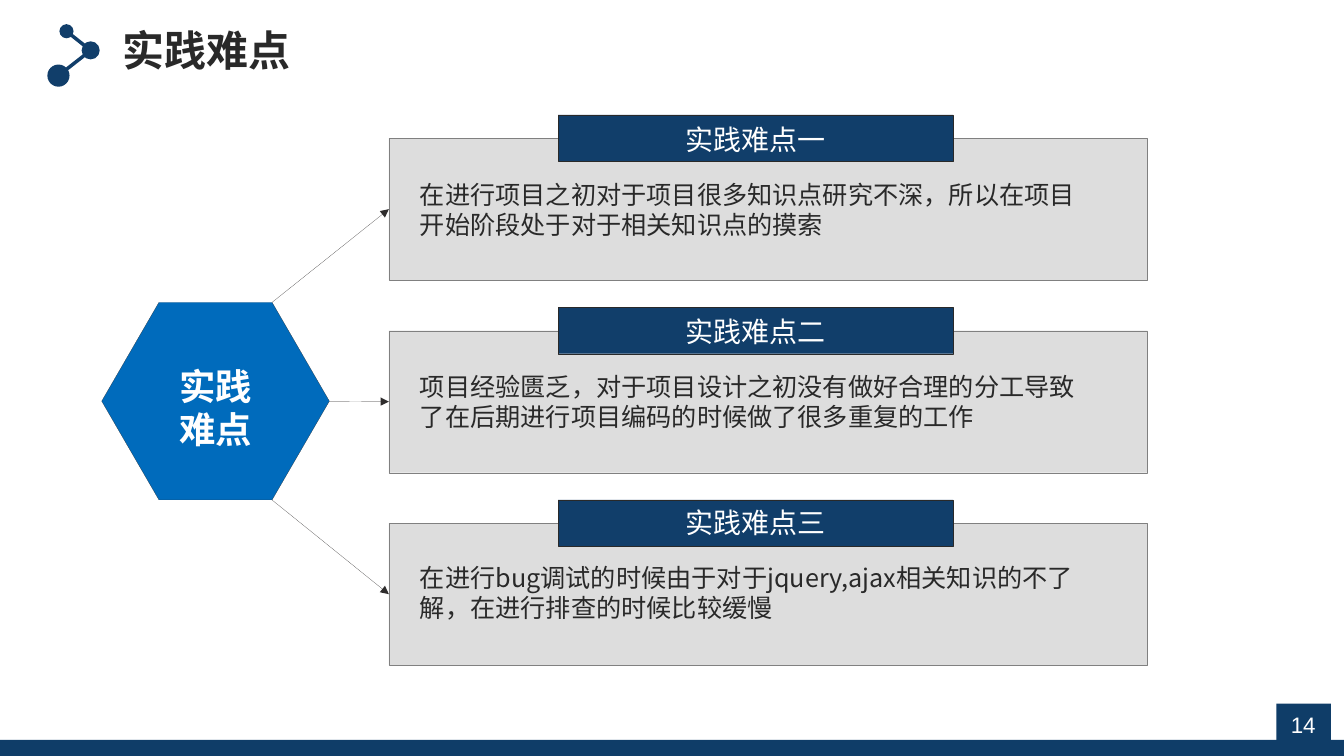
from dataclasses import dataclass

from lxml.etree import SubElement
from pptx import Presentation
from pptx.dml.color import RGBColor
from pptx.enum.shapes import MSO_CONNECTOR, MSO_SHAPE
from pptx.enum.text import MSO_AUTO_SIZE, PP_ALIGN
from pptx.oxml.ns import qn
from pptx.shapes.autoshape import Shape
from pptx.shapes.connector import Connector
from pptx.slide import Slide
from pptx.util import Inches, Pt


@dataclass(frozen=True)
class Theme:
    footer: str = "0F3D68"
    navy: str = "113E6A"
    blue: str = "006BBC"
    panel: str = "DDDDDD"
    panel_edge: str = "808080"
    ink: str = "292929"
    arrow: str = "2E2C2C"
    white: str = "FFFFFF"
    cjk: str = "Noto Sans CJK SC"
    latin: str = "Arial"
    title_size: int = 30
    hub_size: int = 26
    label_size: int = 20
    body_size: int = 18
    page_size: int = 16
    hairline: float = 0.1
    icon_line: float = 2.5


@dataclass(frozen=True)
class Box:
    left: float
    top: float
    width: float
    height: float

    def lengths(self) -> tuple[int, int, int, int]:
        return Inches(self.left), Inches(self.top), Inches(self.width), Inches(self.height)


@dataclass(frozen=True)
class TextStyle:
    size: int
    color: str
    font: str
    bold: bool = False
    align: PP_ALIGN = PP_ALIGN.LEFT


@dataclass(frozen=True)
class Difficulty:
    label: str
    body: str
    arrow_start: tuple[float, float]


@dataclass(frozen=True)
class Node:
    x: float
    y: float
    radius: float


THEME = Theme()
TITLE = TextStyle(THEME.title_size, THEME.ink, THEME.cjk, bold=True)
HUB = TextStyle(THEME.hub_size, THEME.white, THEME.cjk, True, PP_ALIGN.CENTER)
LABEL = TextStyle(THEME.label_size, THEME.white, THEME.cjk, align=PP_ALIGN.CENTER)
BODY = TextStyle(THEME.body_size, THEME.ink, THEME.cjk)
PAGE = TextStyle(THEME.page_size, THEME.white, THEME.latin, align=PP_ALIGN.CENTER)

PANEL_PITCH = 1.91
TEXT_PITCH = 1.9
DIFFICULTIES = [
    Difficulty("实践难点一",
               "在进行项目之初对于项目很多知识点研究不深，所以在项目开始阶段处于对于相关知识点的摸索",
               (2.7, 3)),
    Difficulty("实践难点二",
               "项目经验匮乏，对于项目设计之初没有做好合理的分工导致了在后期进行项目编码的时候做了很多重复的工作",
               (3.27, 3.98)),
    Difficulty("实践难点三",
               "在进行bug调试的时候由于对于jquery,ajax相关知识的不了解，在进行排查的时候比较缓慢",
               (2.7, 4.96)),
]
ICON_NODES = [Node(0.66, 0.31, 0.07), Node(0.9, 0.5, 0.09), Node(0.58, 0.75, 0.11)]


def add_block(slide: Slide, kind: MSO_SHAPE, box: Box, fill: str, edge: str | None = None) -> Shape:
    block = slide.shapes.add_shape(kind, *box.lengths())
    block.shadow.inherit = False
    block.fill.solid()
    block.fill.fore_color.rgb = RGBColor.from_string(fill)
    if edge is None:
        block.line.fill.background()
    else:
        block.line.color.rgb = RGBColor.from_string(edge)
        block.line.width = Pt(THEME.hairline)
    return block


def add_text(slide: Slide, box: Box, lines: list[str], style: TextStyle, wrap: bool = True) -> None:
    frame = slide.shapes.add_textbox(*box.lengths()).text_frame
    frame.word_wrap = wrap
    frame.auto_size = MSO_AUTO_SIZE.SHAPE_TO_FIT_TEXT
    frame.text = "\n".join(lines)
    for paragraph in frame.paragraphs:
        paragraph.alignment = style.align
        paragraph.font.size = Pt(style.size)
        paragraph.font.bold = style.bold
        paragraph.font.color.rgb = RGBColor.from_string(style.color)
        paragraph.font.name = style.font
        defaults = paragraph._p.pPr.find(qn("a:defRPr"))
        SubElement(defaults, qn("a:ea"), typeface=style.font)


def add_line(slide: Slide, start: tuple[float, float], end: tuple[float, float],
             color: str, width: float) -> Connector:
    line = slide.shapes.add_connector(
        MSO_CONNECTOR.STRAIGHT, *(Inches(value) for value in start + end))
    line.line.color.rgb = RGBColor.from_string(color)
    line.line.width = Pt(width)
    SubElement(line._element.spPr, qn("a:effectLst"))
    return line


def add_icon(slide: Slide) -> None:
    for first, second in zip(ICON_NODES, ICON_NODES[1:]):
        add_line(slide, (first.x, first.y), (second.x, second.y), THEME.navy, THEME.icon_line)
    for node in ICON_NODES:
        diameter = 2 * node.radius
        add_block(slide, MSO_SHAPE.OVAL,
                  Box(node.x - node.radius, node.y - node.radius, diameter, diameter), THEME.navy)


def add_hub(slide: Slide) -> None:
    hexagon = add_block(slide, MSO_SHAPE.HEXAGON, Box(1.01, 3, 2.26, 1.96), THEME.blue, THEME.ink)
    hexagon.adjustments[0] = 0.29
    add_text(slide, Box(1.32, 3.56, 1.64, 0.97), ["实践", "难点"], HUB)


def add_difficulty(slide: Slide, row: int, difficulty: Difficulty) -> None:
    panel_shift, text_shift = row * PANEL_PITCH, row * TEXT_PITCH
    panel = add_block(slide, MSO_SHAPE.RECTANGLE, Box(3.86, 1.37 + panel_shift, 7.53, 1.41),
                      THEME.panel, THEME.panel_edge)
    add_block(slide, MSO_SHAPE.RECTANGLE, Box(5.54, 1.14 + panel_shift, 3.92, 0.46),
              THEME.navy, THEME.ink)
    add_text(slide, Box(5.8, 1.17 + text_shift, 3.4, 0.44), [difficulty.label], LABEL)
    add_text(slide, Box(4.07, 1.73 + text_shift, 6.85, 0.7), [difficulty.body], BODY)
    arrow = add_line(slide, difficulty.arrow_start, (3.86, 2.07 + panel_shift),
                     THEME.arrow, THEME.hairline)
    arrow.end_connect(panel, 1)
    SubElement(arrow._element.spPr.find(qn("a:ln")), qn("a:tailEnd"), type="triangle")


def main() -> None:
    presentation = Presentation()
    presentation.slide_width = Inches(13.34)
    presentation.slide_height = Inches(7.5)
    slide = presentation.slides.add_slide(presentation.slide_layouts[6])

    add_block(slide, MSO_SHAPE.RECTANGLE, Box(12.67, 6.98, 0.54, 0.43), THEME.footer)
    add_text(slide, Box(12.33, 7.01, 1.21, 0.37), ["14"], PAGE, wrap=False)
    add_block(slide, MSO_SHAPE.RECTANGLE, Box(0, 7.34, 13.34, 0.16), THEME.footer)
    add_text(slide, Box(1.12, 0.19, 2, 0.6), ["实践难点"], TITLE)
    add_icon(slide)
    add_hub(slide)
    for row, difficulty in enumerate(DIFFICULTIES):
        add_difficulty(slide, row, difficulty)

    presentation.save("out.pptx")


if __name__ == "__main__":
    main()
